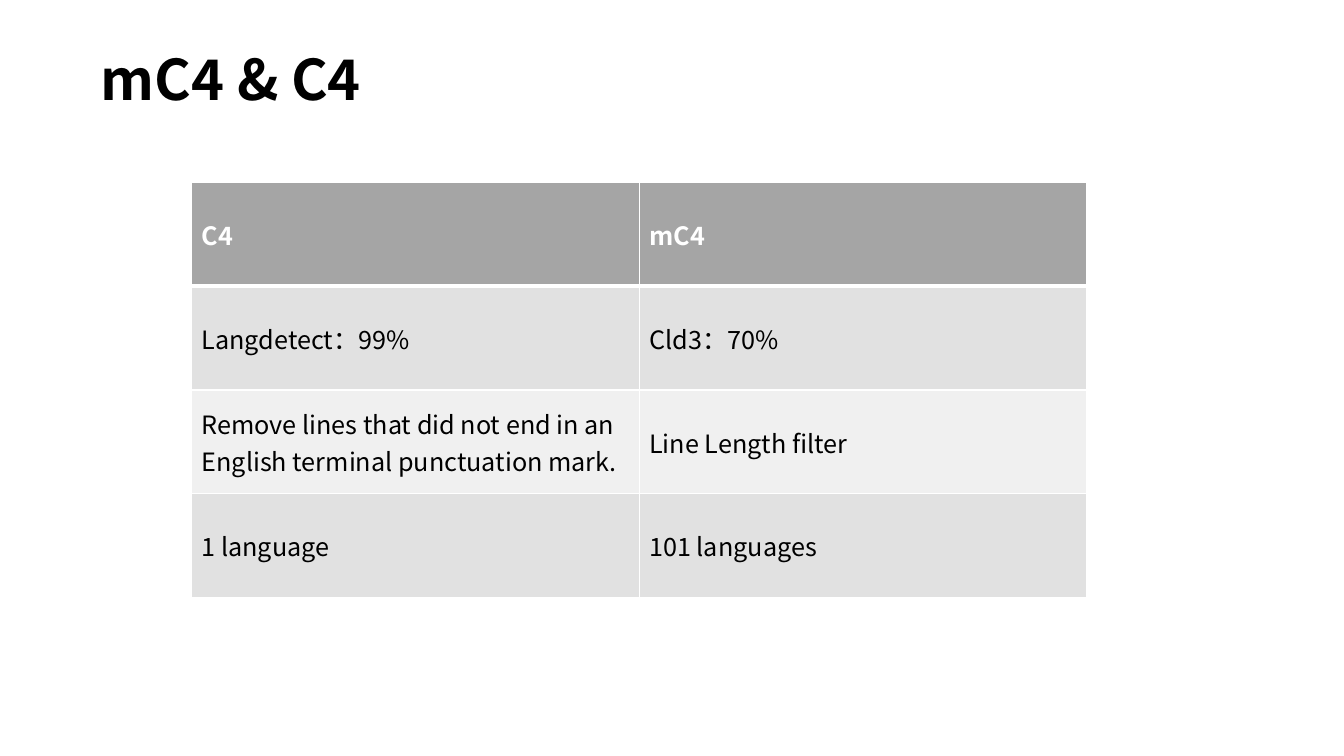
from pptx import Presentation
from pptx.dml.color import RGBColor
from pptx.enum.text import MSO_ANCHOR, MSO_AUTO_SIZE
from pptx.oxml import parse_xml
from pptx.oxml.ns import nsdecls
from pptx.util import Inches, Pt

# Content
TITLE = "mC4 & C4"
COMPARISON = [
    ("C4", "mC4"),
    ("Langdetect：99%", "Cld3：70%"),
    ("Remove lines that did not end in an English terminal punctuation mark.",
     "Line Length filter"),
    ("1 language", "101 languages"),
]
FONT = "Noto Sans CJK SC"
BLACK, WHITE = "000000", "FFFFFF"
HEADER_FILL, BAND_FILLS = "A5A5A5", ("F0F0F0", "E1E1E1")

# Layout in inches
SLIDE_WIDTH, SLIDE_HEIGHT = 13.33, 7.5
TITLE_BOX = (0.9, 0.47, 2.79, 0.77)
TABLE_LEFT, TABLE_TOP = 1.9, 1.81
COLUMN_WIDTH, ROW_HEIGHT = 4.44, 1.03


def rgb(value):
    return RGBColor.from_string(value)


def write(frame, text, size=18, color=BLACK, bold=False, spacing=1.0):
    paragraph = frame.paragraphs[0]
    paragraph.line_spacing = spacing
    run = paragraph.add_run()
    run.text = text
    run.font.name = FONT
    run.font.size = Pt(size)
    run.font.bold = bold
    run.font.color.rgb = rgb(color)
    # East Asian typeface for the full-width colons
    run.font._element.append(
        parse_xml(f'<a:ea {nsdecls("a")} typeface="{FONT}"/>'))


def set_borders(cell, **widths):
    properties = cell._tc.get_or_add_tcPr()
    for side, width in widths.items():
        properties.append(parse_xml(
            f'<a:ln{side} {nsdecls("a")} w="{Pt(width)}"><a:solidFill>'
            f'<a:srgbClr val="{WHITE}"/></a:solidFill></a:ln{side}>'))


def add_title(slide):
    frame = slide.shapes.add_textbox(*map(Inches, TITLE_BOX)).text_frame
    frame.word_wrap = False
    frame.auto_size = MSO_AUTO_SIZE.SHAPE_TO_FIT_TEXT
    write(frame, TITLE, size=40, bold=True, spacing=0.9)


def add_comparison(slide):
    rows, columns = len(COMPARISON), len(COMPARISON[0])
    table = slide.shapes.add_table(
        rows, columns, Inches(TABLE_LEFT), Inches(TABLE_TOP),
        Inches(columns * COLUMN_WIDTH), Inches(rows * ROW_HEIGHT)).table
    for r, texts in enumerate(COMPARISON):
        header = r == 0
        for c, text in enumerate(texts):
            cell = table.cell(r, c)
            cell.vertical_anchor = MSO_ANCHOR.MIDDLE
            set_borders(cell, L=1, R=1, T=3 if r == 1 else 1,
                        B=3 if header else 1)
            cell.fill.solid()
            cell.fill.fore_color.rgb = rgb(
                HEADER_FILL if header else BAND_FILLS[r % 2])
            write(cell.text_frame, text, bold=header,
                  color=WHITE if header else BLACK)


def main():
    deck = Presentation()
    deck.slide_width = Inches(SLIDE_WIDTH)
    deck.slide_height = Inches(SLIDE_HEIGHT)
    slide = deck.slides.add_slide(deck.slide_layouts[6])
    add_title(slide)
    add_comparison(slide)
    deck.save("out.pptx")


if __name__ == "__main__":
    main()
